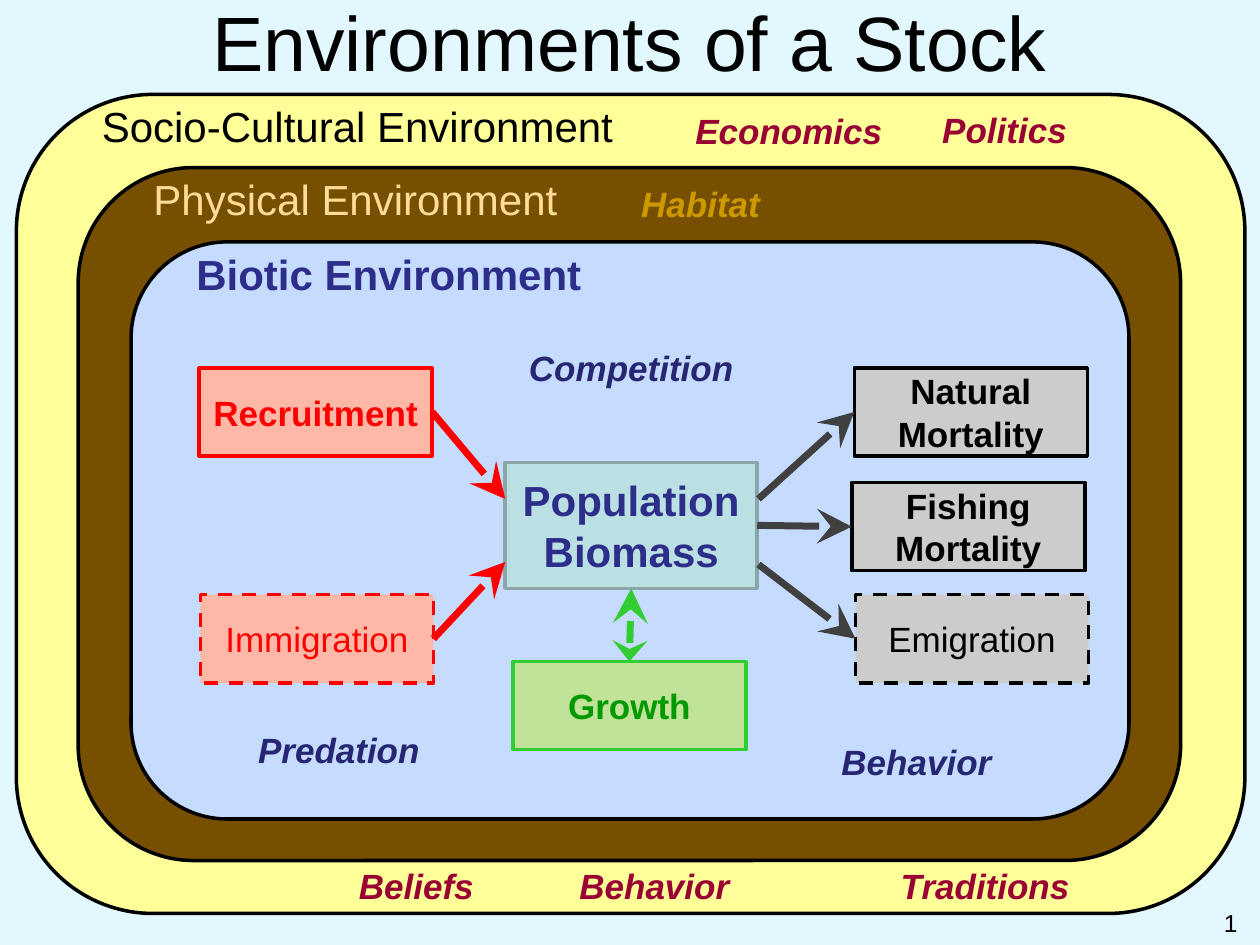
import pptx
import pptx.util
import pptx.dml.color
import pptx.enum.dml
import pptx.enum.shapes
import pptx.enum.text
import pptx.oxml.ns
import lxml.etree

Inches = pptx.util.Inches
ALIGN = pptx.enum.text.PP_ALIGN
SHAPES = pptx.enum.shapes.MSO_SHAPE
BOX_SIZE = (1.85, 0.7)
TOP, LEFT, BOTTOM, RIGHT = range(4)


def colour(value):
    return pptx.dml.color.RGBColor.from_string(value)


def paint(fill, value):
    fill.solid()
    fill.fore_color.rgb = colour(value)


def write(frame, lines, size, ink, align=ALIGN.LEFT, bold=False, italic=False):
    for index, line in enumerate(lines):
        para = frame.paragraphs[0] if index == 0 else frame.add_paragraph()
        para.alignment = align
        span = para.add_run()
        span.text = line
        span.font.name = "Arial"
        span.font.size = pptx.util.Pt(size)
        span.font.bold = bold
        span.font.italic = italic
        span.font.color.rgb = colour(ink)


def add_title(page, text):
    title = page.shapes.title
    title.left, title.top = Inches(0.07), Inches(0)
    title.width, title.height = Inches(9.86), Inches(0.65)
    title.text_frame.vertical_anchor = pptx.enum.text.MSO_ANCHOR.MIDDLE
    write(title.text_frame, [text], 44, "000000", ALIGN.CENTER)


def add_block(page, kind, place, fill, edge, dashed=False):
    box = page.shapes.add_shape(kind, *map(Inches, place))
    box.shadow.inherit = False
    paint(box.fill, fill)
    box.line.color.rgb = colour(edge)
    box.line.width = pptx.util.Pt(2)
    if dashed:
        box.line.dash_style = pptx.enum.dml.MSO_LINE.DASH
    return box


def add_box(page, place, lines, fill, edge, ink, size=20, dashed=False):
    box = add_block(page, SHAPES.RECTANGLE, place, fill, edge, dashed)
    box.text_frame.word_wrap = True
    box.text_frame.vertical_anchor = pptx.enum.text.MSO_ANCHOR.MIDDLE
    write(box.text_frame, lines, size, ink, ALIGN.CENTER, bold=not dashed)
    return box


def add_label(page, place, text, size, ink, **style):
    box = page.shapes.add_textbox(*map(Inches, place))
    box.text_frame.word_wrap = False
    box.text_frame.auto_size = pptx.enum.text.MSO_AUTO_SIZE.SHAPE_TO_FIT_TEXT
    write(box.text_frame, [text], size, ink, **style)


def add_arrow(page, start, finish, ink, begin=None, end=None, double=False):
    arrow = page.shapes.add_connector(
        pptx.enum.shapes.MSO_CONNECTOR.STRAIGHT, *map(Inches, start + finish))
    if begin:
        arrow.begin_connect(*begin)
    if end:
        arrow.end_connect(*end)
    arrow.line.color.rgb = colour(ink)
    arrow.line.width = pptx.util.Pt(4)
    outline = arrow.line._get_or_add_ln()
    heads = [("a:headEnd", "med")] if double else []
    for tag, length in heads + [("a:tailEnd", "lg")]:
        lxml.etree.SubElement(outline, pptx.oxml.ns.qn(tag),
                              type="stealth", w="lg", len=length)
    lxml.etree.SubElement(arrow._element.spPr, pptx.oxml.ns.qn("a:effectLst"))


def add_environments(page):
    for place, fill, text, width, ink, bold in [
        ((0.13, 0.75, 9.75, 6.5), "FFFF99", "Socio-Cultural Environment", 4.3, "000000", False),
        ((0.62, 1.33, 8.75, 5.5), "764F00", "Physical Environment", 3.44, "FFDC97", False),
        ((1.04, 1.92, 7.92, 4.58), "C5DCFF", "Biotic Environment", 3.29, "2D2D8A", True),
    ]:
        add_block(page, SHAPES.ROUNDED_RECTANGLE, place, fill, "000000")
        label_left = {"000000": 0.71, "FFDC97": 1.12, "2D2D8A": 1.46}[ink]
        add_label(page, (label_left, place[1], width, 0.5), text, 24, ink, bold=bold)


def add_stock_flows(page):
    population = add_box(page, (4.01, 3.67, 2, 1), ["Population", "Biomass"],
                         "BBE0E3", "8AA6A8", "2D2D8A", size=24)
    growth = add_box(page, (4.07, 5.25) + BOX_SIZE, ["Growth"],
                     "C0E399", "33CC33", "009900")
    add_arrow(page, (5, 5.25), (5.01, 4.67), "33CC33",
              (growth, TOP), (population, BOTTOM), double=True)

    for left, top, text, dashed, entry in [
        (1.58, 2.92, "Recruitment", False, 3.96),
        (1.59, 4.72, "Immigration", True, 4.46),
    ]:
        box = add_box(page, (left, top) + BOX_SIZE, [text],
                      "FFB8A7", "FF0000", "FF0000", dashed=dashed)
        add_arrow(page, (left + BOX_SIZE[0], top + BOX_SIZE[1] / 2), (4.01, entry),
                  "FF0000", begin=(box, RIGHT))

    for left, top, text, dashed, outlet in [
        (6.78, 2.92, "Natural Mortality", False, 3.96),
        (6.76, 3.83, "Fishing Mortality", False, 4.17),
        (6.79, 4.72, "Emigration", True, 4.48),
    ]:
        box = add_box(page, (left, top) + BOX_SIZE, [text],
                      "CCCCCC", "000000", "000000", dashed=dashed)
        begin = (population, RIGHT) if outlet == 4.17 else None
        add_arrow(page, (6.02, outlet), (left, top + BOX_SIZE[1] / 2),
                  "404040", begin, (box, LEFT))


def add_factors(page):
    for text, left, top, width, ink in [
        ("Competition", 4.1, 2.7, 1.84, "262673"),
        ("Predation", 1.95, 5.73, 1.5, "262673"),
        ("Behavior", 6.58, 5.83, 1.4, "262673"),
        ("Habitat", 4.99, 1.4, 1.15, "CC9900"),
        ("Economics", 5.42, 0.82, 1.7, "990033"),
        ("Politics", 7.38, 0.81, 1.2, "990033"),
        ("Traditions", 7.05, 6.81, 1.55, "990033"),
        ("Behavior", 4.5, 6.81, 1.4, "990033"),
        ("Beliefs", 2.75, 6.81, 1.12, "990033"),
    ]:
        add_label(page, (left, top, width, 0.44), text, 20, ink, bold=True, italic=True)


def main():
    deck = pptx.Presentation()
    deck.slide_width, deck.slide_height = Inches(10), Inches(7.5)
    page = deck.slides.add_slide(deck.slide_layouts[5])
    paint(page.background.fill, "E2F7FE")
    add_title(page, "Environments of a Stock")
    add_environments(page)
    add_stock_flows(page)
    add_factors(page)
    add_label(page, (9.25, 7.16, 0.67, 0.34), "1", 14, "000000", align=ALIGN.RIGHT)
    deck.save("out.pptx")


if __name__ == "__main__":
    main()
